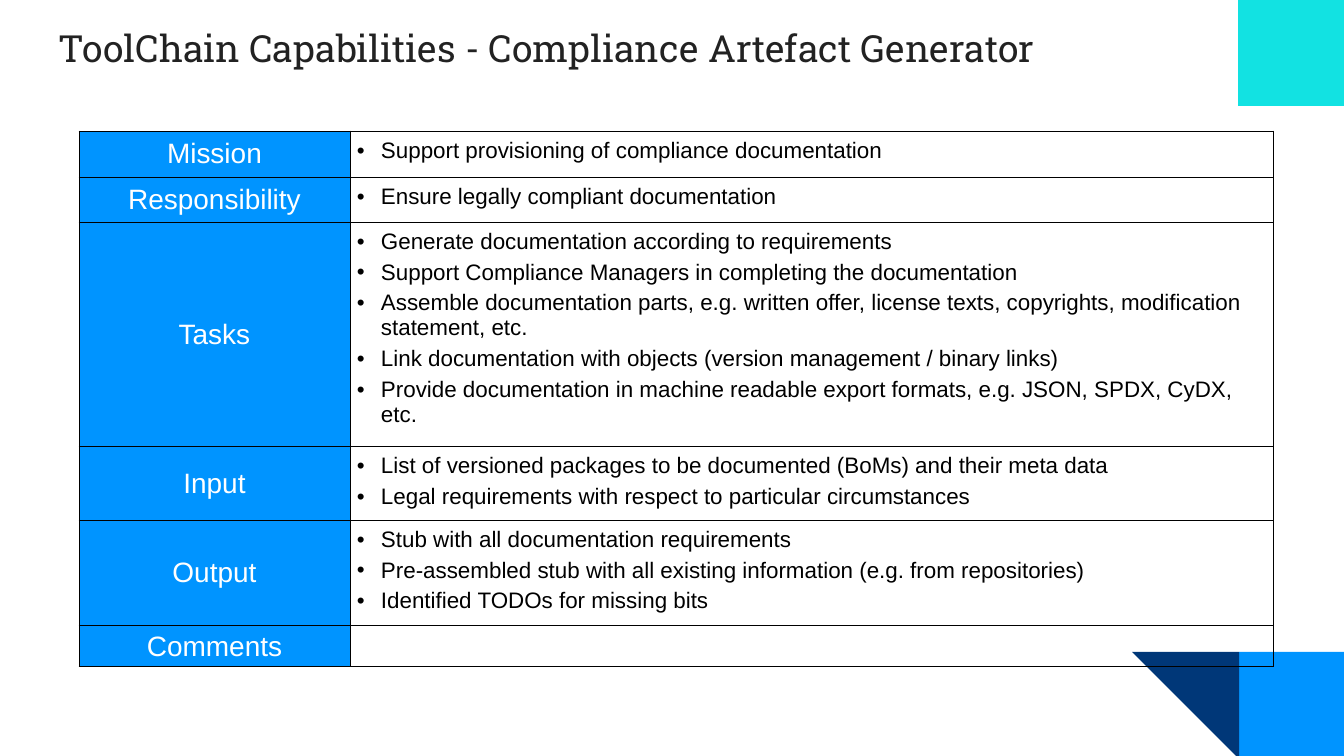
from lxml.etree import SubElement
from pptx import Presentation
from pptx.dml.color import RGBColor
from pptx.enum.shapes import MSO_SHAPE
from pptx.enum.text import MSO_ANCHOR, PP_ALIGN
from pptx.oxml.ns import qn
from pptx.util import Pt

SLIDE_WIDTH, SLIDE_HEIGHT = 1344, 756
EMU_PER_PX = 9144000 / SLIDE_WIDTH

BLUE, NAVY, CYAN = "0094FF", "003778", "12E2E2"
BLACK, WHITE, TITLE_GREY = "000000", "FFFFFF", "222222"

TITLE = "ToolChain Capabilities - Compliance Artefact Generator"
COLUMN_WIDTHS = [271, 923]
CAPABILITIES = [
    ("Mission", 46, ["Support provisioning of compliance documentation"]),
    ("Responsibility", 45, ["Ensure legally compliant documentation"]),
    ("Tasks", 219, [
        "Generate documentation according to requirements",
        "Support Compliance Managers in completing the documentation",
        "Assemble documentation parts, e.g. written offer, license texts, "
        "copyrights, modification statement, etc.",
        "Link documentation with objects (version management / binary links)",
        "Provide documentation in machine readable export formats, "
        "e.g. JSON, SPDX, CyDX, etc.",
    ]),
    ("Input", 72, [
        "List of versioned packages to be documented (BoMs) and their meta data",
        "Legal requirements with respect to particular circumstances",
    ]),
    ("Output", 103, [
        "Stub with all documentation requirements",
        "Pre-assembled stub with all existing information (e.g. from repositories)",
        "Identified TODOs for missing bits",
    ]),
    ("Comments", 41, []),
]


def px(length):
    return round(length * EMU_PER_PX)


def color(hex_value):
    return RGBColor.from_string(hex_value)


def apply(target, **values):
    """Set each named format value on the target."""
    for name, value in values.items():
        setattr(target, name, value)


def set_margins(target, margin):
    sides = ("left", "top", "right", "bottom")
    apply(target, **{f"margin_{side}": px(margin) for side in sides})


def add_run(paragraph, text, size, hex_value, font="Arial"):
    run = paragraph.add_run()
    run.text = text
    apply(run.font, name=font, size=Pt(size))
    run.font.color.rgb = color(hex_value)


def add_block(slide, kind, box, hex_value, rotation=0):
    block = slide.shapes.add_shape(kind, *map(px, box))
    block.shadow.inherit = False
    block.rotation = rotation
    block.fill.solid()
    block.fill.fore_color.rgb = color(hex_value)
    block.line.fill.background()


def add_corners(slide, left, top, width, height):
    """Place the coloured blocks in the right-hand corners of the box."""
    side = 106
    x, y = left + width - side, top + height - side + 2
    add_block(slide, MSO_SHAPE.RECTANGLE, (x + 1, y, side, side), BLUE)
    add_block(slide, MSO_SHAPE.RIGHT_TRIANGLE, (x - side, y, side + 1, side + 1), NAVY, 180)
    add_block(slide, MSO_SHAPE.RECTANGLE, (x, top, side, side), CYAN)


def add_title(slide, left, top, width, height):
    frame = slide.shapes.add_textbox(*map(px, (left, top, width, height))).text_frame
    frame.word_wrap = True
    set_margins(frame, 13)
    add_run(frame.paragraphs[0], TITLE, 20, TITLE_GREY, "Roboto Slab")


def add_borders(cell):
    properties = cell._tc.get_or_add_tcPr()
    for side in ("lnL", "lnR", "lnT", "lnB"):
        border = SubElement(properties, qn(f"a:{side}"), w=str(Pt(0.5)))
        fill = SubElement(border, qn("a:solidFill"))
        SubElement(fill, qn("a:srgbClr"), val=BLACK)


def add_bullet(paragraph):
    properties = paragraph._p.get_or_add_pPr()
    properties.set("marL", str(px(24)))
    properties.set("indent", str(-px(24)))
    bullet_color = SubElement(properties, qn("a:buClr"))
    SubElement(bullet_color, qn("a:srgbClr"), val=BLACK)
    SubElement(properties, qn("a:buFont"), typeface="Arial")
    SubElement(properties, qn("a:buChar"), char="•")


def fill_label_cell(cell, label):
    add_borders(cell)
    cell.fill.solid()
    cell.fill.fore_color.rgb = color(BLUE)
    cell.vertical_anchor = MSO_ANCHOR.MIDDLE
    set_margins(cell, 0)
    paragraph = cell.text_frame.paragraphs[0]
    paragraph.alignment = PP_ALIGN.CENTER
    add_run(paragraph, label, 15, WHITE)


def fill_detail_cell(cell, details):
    add_borders(cell)
    cell.fill.background()
    set_margins(cell, 7 if details else 0)
    frame = cell.text_frame
    for index, detail in enumerate(details):
        paragraph = frame.add_paragraph() if index else frame.paragraphs[0]
        add_bullet(paragraph)
        if index:
            paragraph.space_before = Pt(3)
        add_run(paragraph, detail, 12, BLACK)


def add_capabilities(slide, left, top):
    width = sum(COLUMN_WIDTHS)
    height = sum(row_height for _, row_height, _ in CAPABILITIES)
    table = slide.shapes.add_table(
        len(CAPABILITIES), len(COLUMN_WIDTHS), *map(px, (left, top, width, height))
    ).table
    apply(table, first_row=False, horz_banding=False)
    for column, column_width in zip(table.columns, COLUMN_WIDTHS):
        column.width = px(column_width)
    for row, (label, row_height, details) in zip(table.rows, CAPABILITIES):
        row.height = px(row_height)
        label_cell, detail_cell = row.cells
        fill_label_cell(label_cell, label)
        fill_detail_cell(detail_cell, details)


def main():
    presentation = Presentation()
    apply(presentation, slide_width=px(SLIDE_WIDTH), slide_height=px(SLIDE_HEIGHT))
    slide = presentation.slides.add_slide(presentation.slide_layouts[6])
    add_corners(slide, 0, 0, SLIDE_WIDTH, SLIDE_HEIGHT)
    add_title(slide, 46, 12, 1253, 89)
    add_capabilities(slide, 79, 131)
    presentation.save("out.pptx")


if __name__ == "__main__":
    main()
